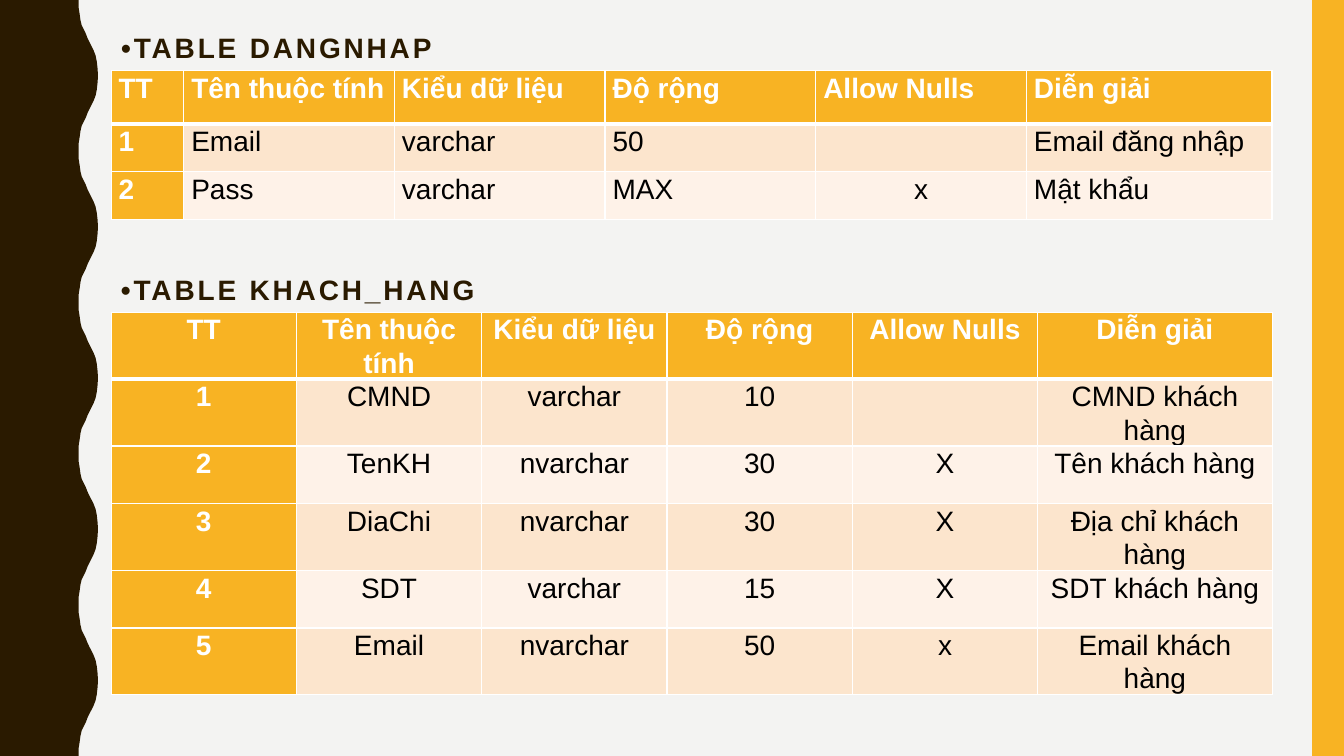
from lxml import etree
from pptx import Presentation
from pptx.dml.color import RGBColor
from pptx.enum.shapes import MSO_SHAPE
from pptx.enum.text import MSO_ANCHOR, MSO_AUTO_SIZE, PP_ALIGN
from pptx.oxml.ns import qn
from pptx.util import Cm, Pt

RECTANGLE = MSO_SHAPE.RECTANGLE
TOP = MSO_ANCHOR.TOP
NO_AUTOFIT = MSO_AUTO_SIZE.NONE
LEFT, CENTER = PP_ALIGN.LEFT, PP_ALIGN.CENTER

BACKGROUND = RGBColor(0xF3, 0xF3, 0xF2)
BROWN = RGBColor(0x2A, 0x1A, 0x00)
AMBER = RGBColor(0xF8, 0xB3, 0x23)
PEACH = RGBColor(0xFC, 0xE5, 0xCD)
CREAM = RGBColor(0xFE, 0xF2, 0xE8)
WHITE = RGBColor(0xFF, 0xFF, 0xFF)
BLACK = RGBColor(0x00, 0x00, 0x00)

FONT = "Arial"
FONT_SIZE = Pt(20)
SLIDE_WIDTH, SLIDE_HEIGHT = Cm(33.87), Cm(19.05)
CONTENT_LEFT, CONTENT_WIDTH = Cm(2.8), Cm(29.26)
HEADING_HEIGHT = Cm(1.05)

WAVE_COUNT = 5
WAVE_PERIOD = 3.81
RISING_HALF = [
    (1.98, 0), (1.98, 0.18), (2.01, 0.36), (2.03, 0.51), (2.06, 0.64),
    (2.11, 0.74), (2.16, 0.84), (2.21, 0.97), (2.26, 1.07), (2.31, 1.17),
    (2.36, 1.27), (2.41, 1.4), (2.44, 1.55), (2.46, 1.73), (2.47, 1.9),
]

HEADER = ["TT", "Tên thuộc tính", "Kiểu dữ liệu", "Độ rộng", "Allow Nulls", "Diễn giải"]
LOGIN_ROWS = [
    HEADER,
    ["1", "Email", "varchar", "50", "", "Email đăng nhập"],
    ["2", "Pass", "varchar", "MAX", "x", "Mật khẩu"],
]
CUSTOMER_ROWS = [
    HEADER,
    ["1", "CMND", "varchar", "10", "", "CMND khách hàng"],
    ["2", "TenKH", "nvarchar", "30", "X", "Tên khách hàng"],
    ["3", "DiaChi", "nvarchar", "30", "X", "Địa chỉ khách hàng"],
    ["4", "SDT", "varchar", "15", "X", "SDT khách hàng"],
    ["5", "Email", "nvarchar", "50", "x", "Email khách hàng"],
]


def paint(shape, color):
    shape.shadow.inherit = False
    shape.fill.solid()
    shape.fill.fore_color.rgb = color
    shape.line.fill.background()


def add_wavy_band(slide):
    falling_half = [(x, WAVE_PERIOD - y) for x, y in reversed(RISING_HALF)]
    edge = [
        (Cm(x), Cm(wave * WAVE_PERIOD + y))
        for wave in range(WAVE_COUNT)
        for x, y in RISING_HALF + falling_half
    ]
    builder = slide.shapes.build_freeform(0, 0)
    builder.add_line_segments(edge + [(0, SLIDE_HEIGHT)], close=True)
    paint(builder.convert_to_shape(), BROWN)


def add_side_bar(slide):
    left = Cm(33.07)
    bar = slide.shapes.add_shape(RECTANGLE, left, 0, SLIDE_WIDTH - left, SLIDE_HEIGHT)
    paint(bar, AMBER)


def format_text(paragraph, color, bold, alignment, line_spacing):
    paragraph.alignment = alignment
    paragraph.line_spacing = line_spacing
    paragraph.font.name = FONT
    paragraph.font.size = FONT_SIZE
    paragraph.font.bold = bold
    paragraph.font.color.rgb = color


def fill_heading(shape, text, top):
    shape.left, shape.top = CONTENT_LEFT, top
    shape.width, shape.height = CONTENT_WIDTH, HEADING_HEIGHT
    frame = shape.text_frame
    frame.text = text
    frame.word_wrap = True
    frame.auto_size = NO_AUTOFIT
    frame.vertical_anchor = TOP
    paragraph = frame.paragraphs[0]
    format_text(paragraph, BROWN, True, LEFT, 0.9)
    paragraph.runs[0]._r.get_or_add_rPr().set("spc", "200")


def add_borders(cell, top, bottom):
    """Draw white cell borders; top and bottom are widths in points."""
    properties = cell._tc.get_or_add_tcPr()
    for side, width in (("L", 1), ("R", 1), ("T", top), ("B", bottom)):
        line = etree.SubElement(properties, qn(f"a:ln{side}"), w=str(Pt(width)))
        fill = etree.SubElement(line, qn("a:solidFill"))
        etree.SubElement(fill, qn("a:srgbClr"), val=str(WHITE))


def format_cell(cell, row, column, alignment):
    add_borders(cell, top=3 if row == 1 else 1, bottom=3 if row == 0 else 1)
    is_label = row == 0 or column == 0
    cell.fill.solid()
    cell.fill.fore_color.rgb = AMBER if is_label else PEACH if row % 2 else CREAM
    cell.margin_left = cell.margin_right = Cm(0.19)
    cell.margin_top = cell.margin_bottom = 0
    color = WHITE if is_label else BLACK
    format_text(cell.text_frame.paragraphs[0], color, is_label, alignment, 1.07)


def add_attribute_table(slide, top, rows, column_widths, row_heights, alignment):
    frame = slide.shapes.add_table(
        len(rows), len(HEADER), CONTENT_LEFT, top, CONTENT_WIDTH, sum(row_heights)
    )
    table = frame.table
    table.first_col = True
    table.horz_banding = False
    for column, width in zip(table.columns, column_widths):
        column.width = width
    for row, height in zip(table.rows, row_heights):
        row.height = height
    for row, values in enumerate(rows):
        for column, value in enumerate(values):
            cell = table.cell(row, column)
            cell.text = value
            is_null_mark = row > 0 and HEADER[column] == "Allow Nulls"
            format_cell(cell, row, column, CENTER if is_null_mark else alignment)


def main():
    presentation = Presentation()
    presentation.slide_width, presentation.slide_height = SLIDE_WIDTH, SLIDE_HEIGHT
    slide = presentation.slides.add_slide(presentation.slide_layouts[5])
    slide.background.fill.solid()
    slide.background.fill.fore_color.rgb = BACKGROUND
    add_wavy_band(slide)
    add_side_bar(slide)

    fill_heading(slide.shapes.title, "•TABLE DANGNHAP", Cm(0.73))
    login_widths = [Cm(1.83)] + [Cm(5.31)] * 4 + [Cm(6.19)]
    login_heights = [Cm(1.35), Cm(1.2), Cm(1.2)]
    add_attribute_table(slide, Cm(1.78), LOGIN_ROWS, login_widths, login_heights, LEFT)

    customer_heading = slide.shapes.add_textbox(0, 0, CONTENT_WIDTH, HEADING_HEIGHT)
    fill_heading(customer_heading, "•TABLE KHACH_HANG", Cm(6.83))
    customer_widths = [Cm(4.67)] * 5 + [Cm(5.91)]
    customer_heights = [Cm(1.45)] * len(CUSTOMER_ROWS)
    add_attribute_table(
        slide, Cm(7.87), CUSTOMER_ROWS, customer_widths, customer_heights, CENTER
    )
    presentation.save("out.pptx")


if __name__ == "__main__":
    main()
